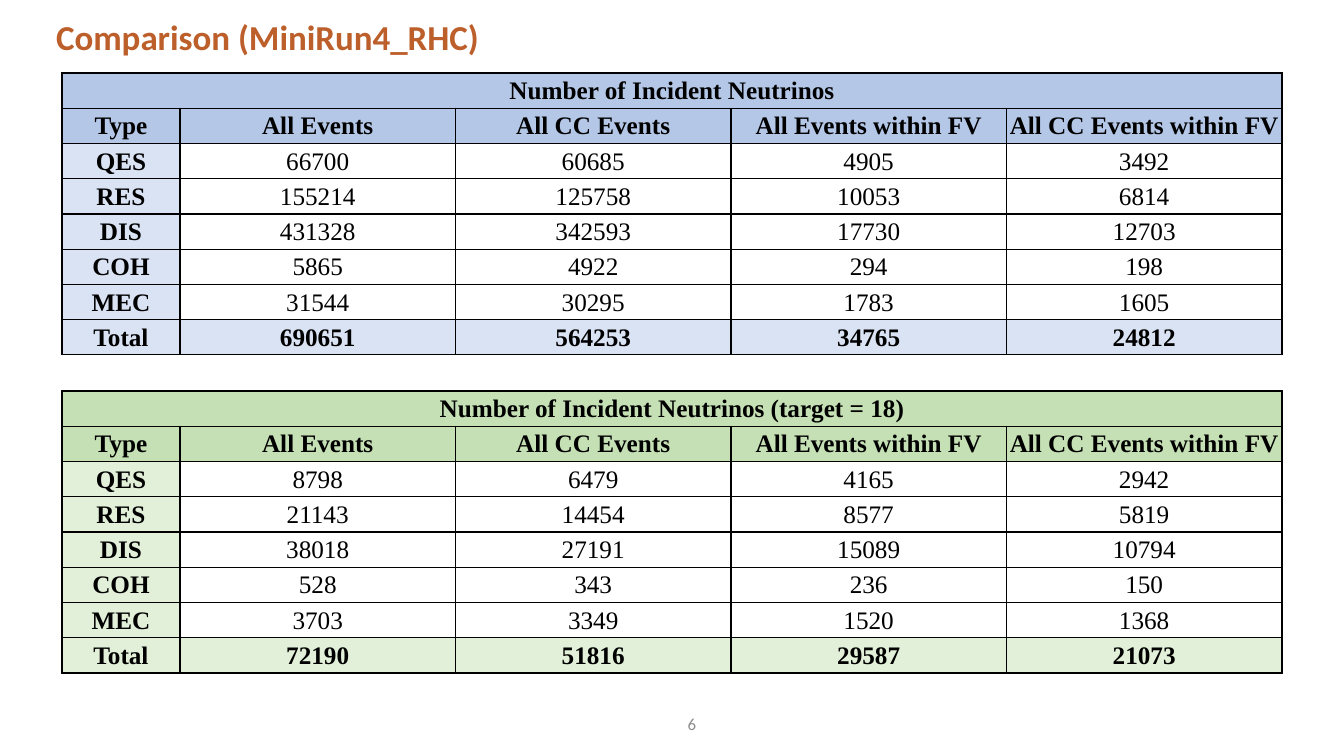
from dataclasses import dataclass

from lxml import etree
from pptx import Presentation
from pptx import util as u
from pptx.dml.color import RGBColor
from pptx.enum import text
from pptx.oxml import ns


@dataclass(frozen=True)
class Theme:
    heading_font: str = "Calibri"
    table_font: str = "Times New Roman"
    heading: str = "BC5F2B"
    ink: str = "000000"
    muted: str = "8C8C8C"
    blue: tuple = ("B4C7E7", "DAE3F3")
    green: tuple = ("C5E0B4", "E2F0D9")
    title_size: int = 25
    table_size: int = 18
    number_size: int = 12


THEME = Theme()
EMU_PER_PX = 914400 / 100.8
TYPE_WIDTH = 118
HEADINGS = ["Type", "All Events", "All CC Events", "All Events within FV", "All CC Events within FV"]
ALL_TARGETS = [
    ["QES", 66700, 60685, 4905, 3492],
    ["RES", 155214, 125758, 10053, 6814],
    ["DIS", 431328, 342593, 17730, 12703],
    ["COH", 5865, 4922, 294, 198],
    ["MEC", 31544, 30295, 1783, 1605],
    ["Total", 690651, 564253, 34765, 24812],
]
TARGET_18 = [
    ["QES", 8798, 6479, 4165, 2942],
    ["RES", 21143, 14454, 8577, 5819],
    ["DIS", 38018, 27191, 15089, 10794],
    ["COH", 528, 343, 236, 150],
    ["MEC", 3703, 3349, 1520, 1368],
    ["Total", 72190, 51816, 29587, 21073],
]


def px(length):
    return u.Emu(round(length * EMU_PER_PX))


def write(frame, words, *, font, size, color, bold=False, align=text.PP_ALIGN.LEFT, spacing=None):
    para = frame.paragraphs[0]
    para.alignment = align
    para.line_spacing = spacing
    span = para.add_run()
    span.text = words
    span.font.name = font
    span.font.size = u.Pt(size)
    span.font.bold = bold
    span.font.color.rgb = RGBColor.from_string(color)


def add_title(page, box, words):
    title = page.shapes.title
    title.left, title.top, title.width, title.height = map(px, box)
    title.text_frame.vertical_anchor = text.MSO_ANCHOR.MIDDLE
    title.text_frame.word_wrap = True
    write(title.text_frame, words, font=THEME.heading_font, size=THEME.title_size,
          color=THEME.heading, bold=True, spacing=0.9)


def add_page_number(page, box, number):
    frame = page.shapes.add_textbox(*map(px, box)).text_frame
    frame.word_wrap = True
    frame.vertical_anchor = text.MSO_ANCHOR.MIDDLE
    write(frame, str(number), font=THEME.heading_font, size=THEME.number_size,
          color=THEME.muted, align=text.PP_ALIGN.RIGHT)


def outline(cell):
    properties = cell._tc.get_or_add_tcPr()
    for side in ("a:lnL", "a:lnR", "a:lnT", "a:lnB"):
        line = etree.SubElement(properties, ns.qn(side), w=str(u.Pt(1)))
        fill = etree.SubElement(line, ns.qn("a:solidFill"))
        etree.SubElement(fill, ns.qn("a:srgbClr"), val=THEME.ink)


def format_cell(cell, words, shade, bold):
    cell.margin_left = cell.margin_top = cell.margin_right = px(1)
    cell.margin_bottom = 0
    cell.vertical_anchor = text.MSO_ANCHOR.MIDDLE
    outline(cell)
    if shade:
        cell.fill.solid()
        cell.fill.fore_color.rgb = RGBColor.from_string(shade)
    else:
        cell.fill.background()
    if words:
        write(cell.text_frame, words, font=THEME.table_font, size=THEME.table_size,
              color=THEME.ink, bold=bold, align=text.PP_ALIGN.CENTER)


def add_event_table(page, box, caption, counts, shades):
    left, top, width, height = box
    rows = [[caption] + [""] * (len(HEADINGS) - 1), HEADINGS, *counts]
    table = page.shapes.add_table(len(rows), len(HEADINGS), *map(px, box)).table
    table.first_row = table.horz_banding = False
    for row in table.rows:
        row.height = px(height / len(rows))
    for index, column in enumerate(table.columns):
        column.width = px((width - TYPE_WIDTH) / (len(HEADINGS) - 1) if index else TYPE_WIDTH)
    dark, light = shades
    for r, row in enumerate(rows):
        for c, value in enumerate(row):
            strong = r < 2 or c == 0 or r == len(rows) - 1
            shade = dark if r < 2 else light if strong else None
            format_cell(table.cell(r, c), str(value), shade, strong)
    table.cell(0, 0).merge(table.cell(0, len(HEADINGS) - 1))


def main():
    deck = Presentation()
    deck.slide_width, deck.slide_height = px(1344), px(756)
    page = deck.slides.add_slide(deck.slide_layouts[5])
    add_page_number(page, (638, 714, 68, 20), 6)
    add_title(page, (46, 14, 1239, 51), "Comparison (MiniRun4_RHC)")
    add_event_table(page, (62, 73, 1220, 282), "Number of Incident Neutrinos",
                    ALL_TARGETS, THEME.blue)
    add_event_table(page, (62, 391, 1220, 282), "Number of Incident Neutrinos (target = 18)",
                    TARGET_18, THEME.green)
    deck.save("out.pptx")


if __name__ == "__main__":
    main()
